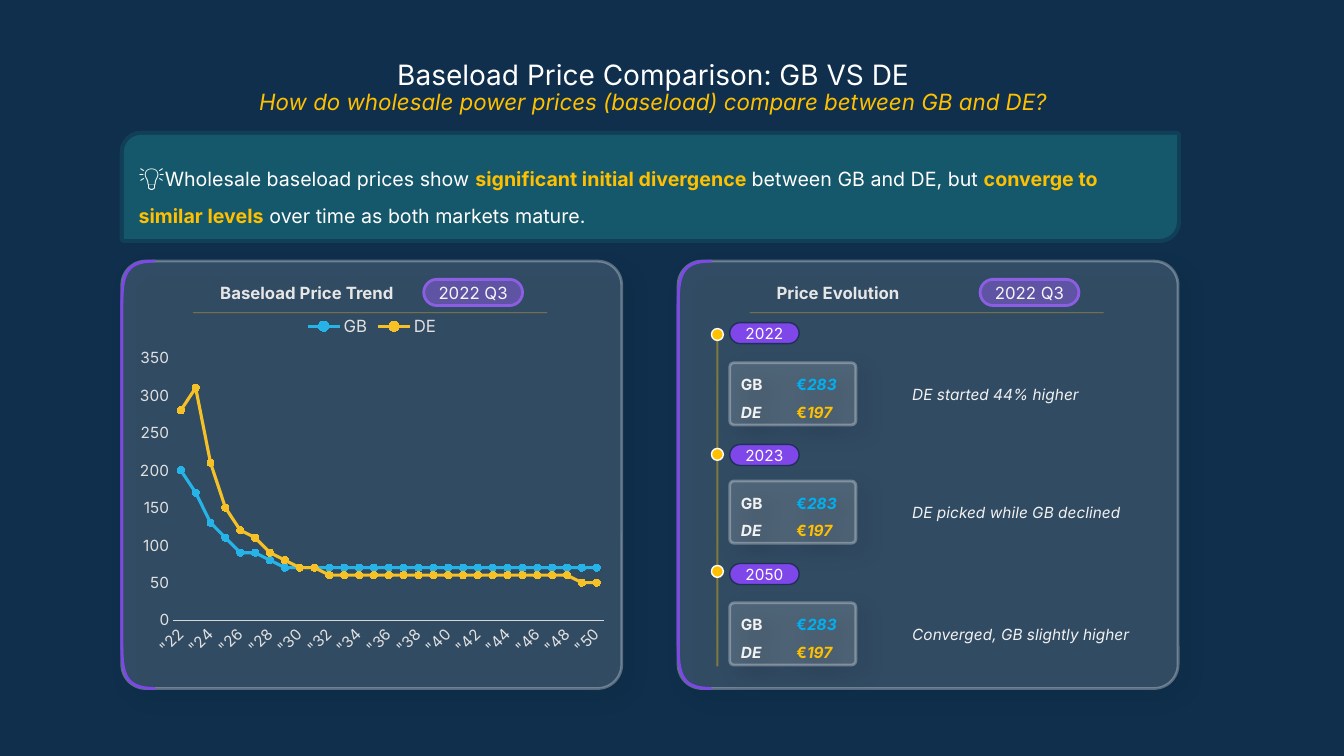
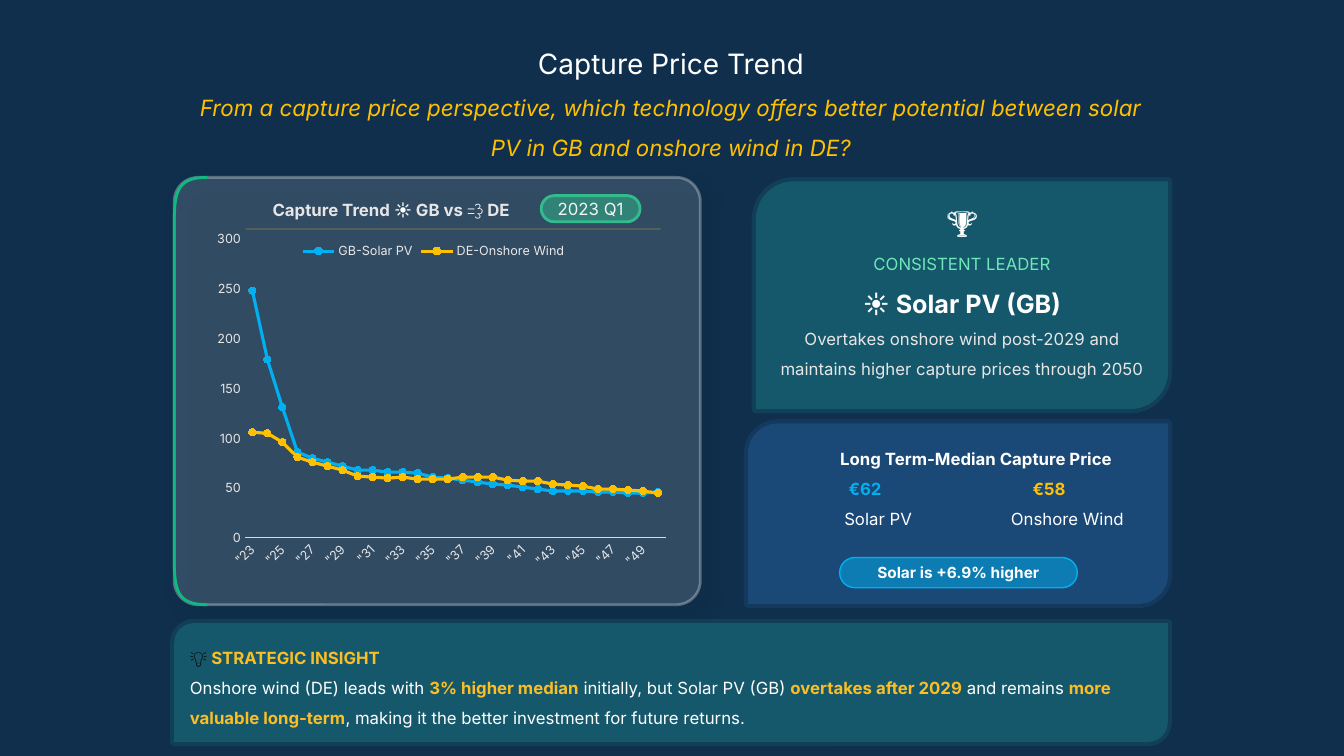
"""Build two slides comparing GB and DE power prices."""
from lxml import etree
from pptx import Presentation
from pptx.chart.data import CategoryChartData
from pptx.dml.color import RGBColor
from pptx.enum.chart import XL_CHART_TYPE, XL_LEGEND_POSITION, XL_MARKER_STYLE, XL_TICK_MARK
from pptx.enum.shapes import MSO_CONNECTOR, MSO_SHAPE
from pptx.enum.text import MSO_ANCHOR, PP_ALIGN
from pptx.oxml.ns import qn
from pptx.util import Cm, Pt

LEFT, CENTER = PP_ALIGN.LEFT, PP_ALIGN.CENTER
MIDDLE = MSO_ANCHOR.MIDDLE
ROUNDED, DIAGONAL, OVAL = MSO_SHAPE.ROUNDED_RECTANGLE, MSO_SHAPE.ROUND_2_DIAG_RECTANGLE, MSO_SHAPE.OVAL
STRAIGHT = MSO_CONNECTOR.STRAIGHT
LINE_MARKERS = XL_CHART_TYPE.LINE_MARKERS
LEGEND_TOP = XL_LEGEND_POSITION.TOP
CIRCLE = XL_MARKER_STYLE.CIRCLE
NO_TICK = XL_TICK_MARK.NONE

FONT = "Inter"
NAVY, TEAL, BLUE = "0F2F4C", "16586B", "1A4877"
WHITE, PALE, BRIGHT, BLACK = "FFFFFF", "E7E6E6", "F2F2F2", "000000"
SKY, GOLD, AMBER = "00B0F0", "FFC000", "FBBF24"
PURPLE, GREEN, MINT = "7F46EA", "10B981", "6EE7B7"
PILL_EDGE, AXIS = "1E3256", "D9D9D9"
PANEL_HEIGHT = 10.77

STYLES = {
    "title": (20, WHITE, False, False),
    "question": (16, GOLD, False, True),
    "bulb": (18, WHITE, False, False),
    "body": (14, WHITE, False, False),
    "key": (14, GOLD, True, False),
    "heading": (12, PALE, True, False),
    "symbol": (12, WHITE, True, False),
    "tag": (12, WHITE, False, False),
    "year": (11, WHITE, False, False),
    "note": (11, BRIGHT, False, True),
    "country": (11, BRIGHT, True, False),
    "country slanted": (11, BRIGHT, True, True),
    "GB sign": (11, SKY, True, False),
    "GB price": (11, SKY, True, True),
    "DE sign": (11, GOLD, True, False),
    "DE price": (11, GOLD, True, True),
    "trophy": (25, WHITE, False, False),
    "leader": (12, MINT, False, False),
    "winner": (18, WHITE, True, False),
    "detail": (12, PALE, False, False),
    "solar median": (12, SKY, True, False),
    "wind median": (12, GOLD, True, False),
    "difference": (11, WHITE, True, False),
    "dark bulb": (12, BLACK, False, False),
    "insight": (12, AMBER, True, False),
}

BASELOAD_TITLE = [
    [("Baseload Price Comparison: GB VS DE", "title")],
    [("How do wholesale power prices (baseload) compare between GB and DE?", "question")],
]
BASELOAD_MESSAGE = [[
    ("💡", "bulb"),
    ("Wholesale baseload prices show ", "body"),
    ("significant initial divergence ", "key"),
    ("between GB and DE, but ", "body"),
    ("converge to similar levels", "key"),
    (" over time as both markets mature.", "body"),
]]
BASELOAD_SERIES = [
    ("GB", SKY, [200, 170, 130, 110, 90, 90, 80] + [70] * 22),
    ("DE", GOLD, [280, 310, 210, 150, 120, 110, 90, 80, 70, 70] + [60] * 17 + [50] * 2),
]
PRICE_ROWS = [
    [("GB", "country"), ("\t", "country"), ("€", "GB sign"), ("283", "GB price")],
    [("DE", "country slanted"), ("\t", "country"), ("€", "DE sign"), ("197", "DE price")],
]
MILESTONES = [
    ("2022", 8.28, 8.13, 9.14, "DE started 44% higher"),
    ("2023", 11.3, 11.2, 12.12, "DE picked while GB declined"),
    ("2050", 14.25, 14.2, 15.19, "Converged, GB slightly higher"),
]

CAPTURE_TITLE = [
    [("Capture Price Trend", "title")],
    [("From a capture price perspective, which technology offers better potential "
      "between solar PV in GB and onshore wind in DE?", "question")],
]
CAPTURE_HEADING = [
    ("Capture Trend ", "heading"), ("☀️", "symbol"), (" GB vs ", "heading"),
    ("💨", "symbol"), (" DE", "heading"),
]
CAPTURE_SERIES = [
    ("GB-Solar PV", SKY, [248, 179, 131, 86, 80, 76, 72, 68, 68, 66, 66, 65, 61, 60,
                          58, 56, 54, 53, 51, 49, 47, 47, 47, 46, 46, 45, 45, 46]),
    ("DE-Onshore Wind", GOLD, [106, 105, 96, 81, 76, 72, 68, 62, 61, 60, 61, 59, 59, 59,
                               61, 61, 61, 58, 57, 57, 54, 53, 52, 49, 49, 48, 47, 45]),
]
LEADER = [
    [("🏆", "trophy")],
    [("CONSISTENT LEADER", "leader")],
    [("☀️ Solar PV (GB)", "winner")],
    [("Overtakes onshore wind post-2029 and maintains higher capture prices through 2050", "detail")],
]
MEDIANS = [
    (24.6, 11.57, "Long Term-Median Capture Price", "symbol"),
    (21.8, 12.32, "€62", "solar median"),
    (26.44, 12.32, "€58", "wind median"),
    (22.13, 13.08, "Solar PV", "tag"),
    (26.9, 13.08, "Onshore Wind", "tag"),
]
INSIGHT = [
    [("💡", "dark bulb"), (" STRATEGIC INSIGHT", "insight")],
    [
        ("Onshore wind (DE) leads with ", "tag"), ("3% higher median", "insight"),
        (" initially, but Solar PV (GB) ", "tag"), ("overtakes after 2029", "insight"),
        (" and remains ", "tag"), ("more valuable long-term", "insight"),
        (", making it the better investment for future returns.", "tag"),
    ],
]


def rgb(color):
    return RGBColor.from_string(color)


def set_alpha(shape, fill_tag, percent):
    color = shape.element.spPr.find(fill_tag).find(qn("a:srgbClr"))
    etree.SubElement(color, qn("a:alpha"), val=str(percent * 1000))


def set_line(shape, color, width, alpha=100):
    shape.line.color.rgb = rgb(color)
    shape.line.width = Pt(width)
    if alpha < 100:
        set_alpha(shape, qn("a:ln") + "/" + qn("a:solidFill"), alpha)


def add_box(slide, kind, box, fill, line, fill_alpha=100, corner=None):
    shape = slide.shapes.add_shape(kind, *map(Cm, box))
    shape.shadow.inherit = False
    shape.fill.solid()
    shape.fill.fore_color.rgb = rgb(fill)
    if fill_alpha < 100:
        set_alpha(shape, qn("a:solidFill"), fill_alpha)
    set_line(shape, *line)
    if corner is not None:
        shape.adjustments[0] = corner
    return shape


def write(shape, paragraphs, align=LEFT, spacing=1.0, margin=None):
    frame = shape.text_frame
    frame.word_wrap = True
    frame.vertical_anchor = MIDDLE
    if margin is not None:
        frame.margin_left = frame.margin_right = frame.margin_top = frame.margin_bottom = Cm(margin)
    for index, runs in enumerate(paragraphs):
        paragraph = frame.add_paragraph() if index else frame.paragraphs[0]
        paragraph.alignment = align
        paragraph.line_spacing = spacing
        for text, style in runs:
            run = paragraph.add_run()
            run.text = text
            size, color, run.font.bold, run.font.italic = STYLES[style]
            run.font.name = FONT
            run.font.size = Pt(size)
            run.font.color.rgb = rgb(color)
    return frame


def add_text(slide, left, middle, width, runs, align=LEFT):
    height = 0.8
    box = slide.shapes.add_textbox(Cm(left), Cm(middle - height / 2), Cm(width), Cm(height))
    write(box, [runs], align, margin=0)


def add_line(slide, start, end, color, width, alpha):
    line = slide.shapes.add_connector(STRAIGHT, *map(Cm, start + end))
    set_line(line, color, width, alpha)
    etree.SubElement(line.element.spPr, qn("a:effectLst"))


def add_pill(slide, box, text, style, fill, line, alpha=100):
    pill = add_box(slide, ROUNDED, box, fill, line, alpha, 0.5)
    write(pill, [[(text, style)]], CENTER, margin=0)


def add_glass(slide, box, corner):
    glass = add_box(slide, ROUNDED, box, WHITE, (WHITE, 2, 30), 15, corner)
    shadow = etree.SubElement(
        glass.element.spPr.find(qn("a:effectLst")), qn("a:outerShdw"),
        blurRad=str(Pt(15)), dist=str(Pt(8)), dir="2700000", algn="tl", rotWithShape="0")
    color = etree.SubElement(shadow, qn("a:srgbClr"), val=BLACK)
    etree.SubElement(color, qn("a:alpha"), val="30000")
    return glass


def add_accent(slide, left, top, color):
    radius_x, radius_y, steps = 0.84, 1.42, 16
    curve = []
    for step in range(steps + 1):
        t = step / steps
        x = radius_x * (1 - t) ** 3
        y = radius_y * (0.9 * t * t * (1 - t) + t ** 3)
        curve.append((x, y))
    lower = [(x, PANEL_HEIGHT - y) for x, y in reversed(curve)]
    points = [(Cm(left + x), Cm(top + y)) for x, y in curve + lower]
    builder = slide.shapes.build_freeform(*points[0], scale=1.0)
    builder.add_line_segments(points[1:], close=False)
    accent = builder.convert_to_shape()
    accent.fill.background()
    accent.shadow.inherit = False
    set_line(accent, color, 2)


def add_panel(slide, left, top, width, heading, quarter, accent, pill_offset, rule_width):
    add_pill(slide, (left + pill_offset, top + 0.46, 2.49, 0.66), quarter, "tag", accent, (accent, 2), 50)
    rule_left, rule_top = left + 1.8, top + 1.3
    add_line(slide, (rule_left, rule_top), (rule_left + rule_width, rule_top), GOLD, 0.5, 50)
    add_glass(slide, (left, top, width, PANEL_HEIGHT), 0.056)
    add_text(slide, left + 2.48, top + 0.81, 7, heading)
    add_accent(slide, left, top, accent)


def add_callout(slide, box, color):
    return add_box(slide, DIAGONAL, box, color, (color, 6, 40))


def style_font(font, size):
    font.name = FONT
    font.size = Pt(size)
    font.color.rgb = rgb(PALE)


def add_line_chart(slide, box, first_year, series, maximum, label_size, legend_size, plot_area=None):
    data = CategoryChartData()
    data.categories = [f'"{year}' for year in range(first_year, 51)]
    for name, _, values in series:
        data.add_series(name, values)
    chart = slide.shapes.add_chart(LINE_MARKERS, *map(Cm, box), data).chart
    chart.has_title = False
    chart.has_legend = True
    chart.legend.position = LEGEND_TOP
    chart.legend.include_in_layout = False
    style_font(chart.legend.font, legend_size)
    for axis in (chart.category_axis, chart.value_axis):
        axis.has_major_gridlines = False
        axis.major_tick_mark = axis.minor_tick_mark = NO_TICK
        style_font(axis.tick_labels.font, label_size)
    chart.category_axis.format.line.color.rgb = rgb(AXIS)
    chart.category_axis.format.line.width = Pt(0.75)
    chart.category_axis.tick_labels.font
    chart.category_axis._element.find(qn("c:txPr")).find(qn("a:bodyPr")).set("rot", "-2700000")
    chart.value_axis.format.line.fill.background()
    chart.value_axis.minimum_scale = 0
    chart.value_axis.maximum_scale = maximum
    chart.value_axis.major_unit = 50
    chart.plots[0].vary_by_categories = False
    for line, (_, color, _) in zip(chart.plots[0].series, series):
        line.smooth = False
        line.format.line.color.rgb = rgb(color)
        line.format.line.width = Pt(2.25)
        line.marker.style = CIRCLE
        line.marker.size = 5
        line.marker.format.fill.solid()
        line.marker.format.fill.fore_color.rgb = rgb(color)
        line.marker.format.line.color.rgb = rgb(color)
    if plot_area:
        area = chart.element.chart.plotArea
        for old in area.findall(qn("c:layout")):
            area.remove(old)
        layout = etree.Element(qn("c:layout"))
        area.insert(0, layout)
        manual = etree.SubElement(layout, qn("c:manualLayout"))
        settings = [("layoutTarget", "inner"), ("xMode", "edge"), ("yMode", "edge")]
        for tag, value in settings + list(zip("xywh", plot_area)):
            etree.SubElement(manual, qn("c:" + tag), val=str(value))


def add_milestone(slide, year, dot_top, pill_top, card_top, note):
    add_box(slide, OVAL, (17.93, dot_top, 0.3, 0.3), GOLD, (WHITE, 1))
    add_pill(slide, (18.39, pill_top, 1.75, 0.53), year, "year", PURPLE, (PILL_EDGE, 1))
    card = add_glass(slide, (18.39, card_top, 3.18, 1.57), 0.071)
    for paragraph in write(card, PRICE_ROWS, spacing=1.5).paragraphs:
        tabs = etree.SubElement(paragraph._p.get_or_add_pPr(), qn("a:tabLst"))
        etree.SubElement(tabs, qn("a:tab"), pos=str(Cm(1.4)), algn="l")
    add_text(slide, 22.99, card_top + 0.79, 6, [(note, "note")])


def add_slide(presentation, title, box, spacing):
    slide = presentation.slides.add_slide(presentation.slide_layouts[6])
    slide.background.fill.solid()
    slide.background.fill.fore_color.rgb = rgb(NAVY)
    write(slide.shapes.add_textbox(*map(Cm, box)), title, CENTER, spacing)
    return slide


def build_baseload(presentation):
    slide = add_slide(presentation, BASELOAD_TITLE, (3.28, 1.37, 26.37, 1.7), 0.9)
    add_line_chart(slide, (3.28, 7.67, 12.19, 9.09), 22, BASELOAD_SERIES, 350, 11, 12)
    for left, heading in [(3.07, "Baseload Price Trend"), (17.09, "Price Evolution")]:
        add_panel(slide, left, 6.58, 12.6, [(heading, "heading")], "2022 Q3", PURPLE, 7.61, 8.92)
    write(add_callout(slide, (3.12, 3.4, 26.54, 2.62), TEAL), BASELOAD_MESSAGE, spacing=1.5)
    add_line(slide, (18.08, 8.28), (18.08, 16.79), GOLD, 1.5, 40)
    for milestone in MILESTONES:
        add_milestone(slide, *milestone)


def build_capture(presentation):
    slide = add_slide(presentation, CAPTURE_TITLE, (4.39, 1.02, 25.04, 2.77), 1.5)
    add_panel(slide, 4.39, 4.47, 13.26, CAPTURE_HEADING, "2023 Q1", GREEN, 9.25, 10.46)
    leader = add_callout(slide, (19.05, 4.57, 10.39, 5.74), TEAL)
    write(leader, LEADER, CENTER, 1.5).margin_bottom = Cm(0.9)
    add_callout(slide, (18.85, 10.67, 10.59, 4.55), BLUE)
    for center, middle, text, style in MEDIANS:
        add_text(slide, center - 4, middle, 8, [(text, style)], CENTER)
    add_pill(slide, (21.16, 14.05, 5.99, 0.76), "Solar is +6.9% higher", "difference", SKY, (SKY, 1), 50)
    write(add_callout(slide, (4.39, 15.7, 25.04, 3), TEAL), INSIGHT, spacing=1.5)
    add_line_chart(slide, (4.83, 5.82, 12.19, 8.79), 23, CAPTURE_SERIES, 300, 9, 9, (0.11, 0.02, 0.87, 0.86))


def main():
    presentation = Presentation()
    presentation.slide_width, presentation.slide_height = Cm(33.87), Cm(19.05)
    build_baseload(presentation)
    build_capture(presentation)
    presentation.save("out.pptx")


if __name__ == "__main__":
    main()
